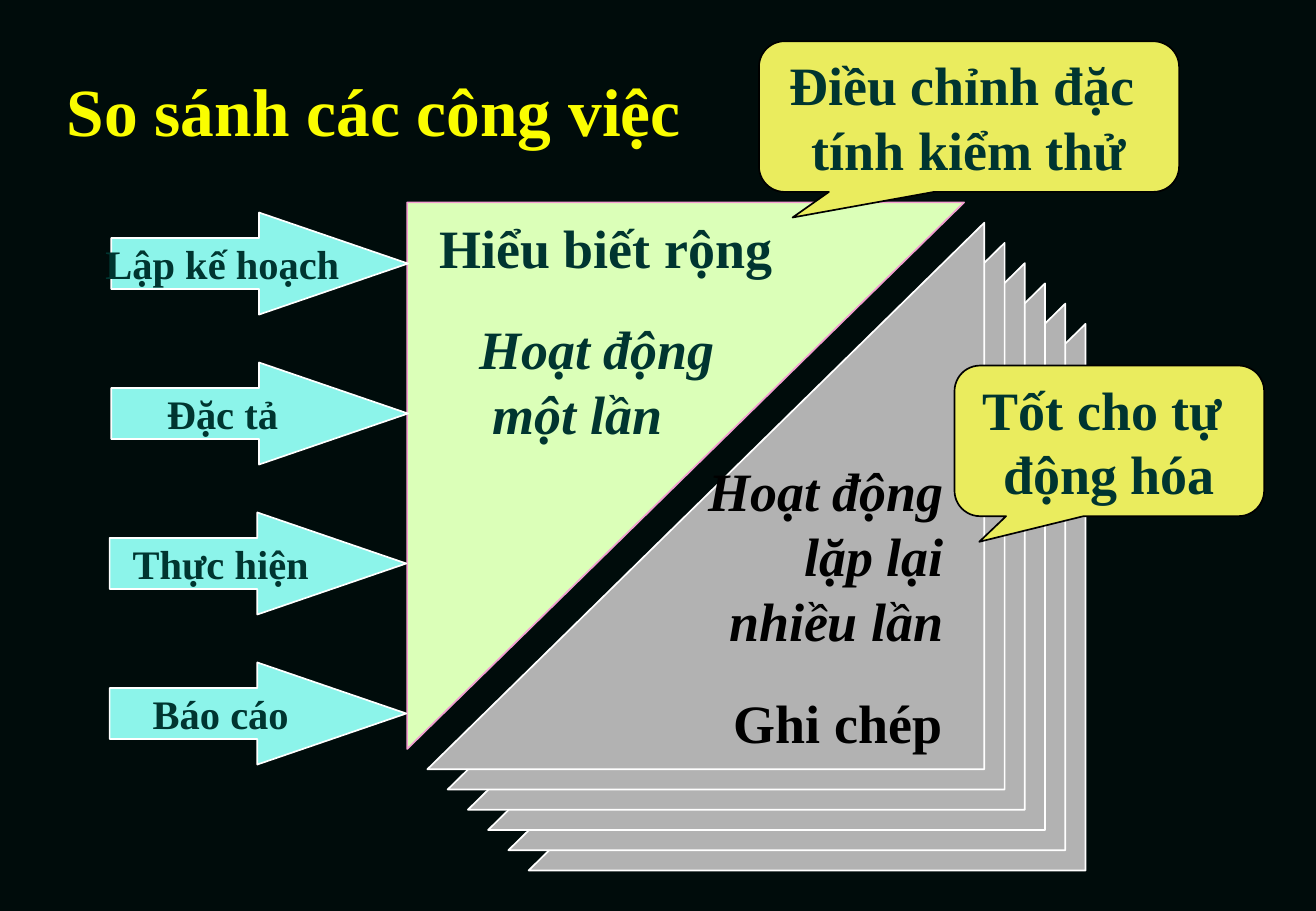
import dataclasses

import pptx
import pptx.dml.color
import pptx.enum.shapes
import pptx.enum.text
import pptx.util

Pt = pptx.util.Pt
Align = pptx.enum.text.PP_ALIGN
Anchor = pptx.enum.text.MSO_ANCHOR
Fit = pptx.enum.text.MSO_AUTO_SIZE
Preset = pptx.enum.shapes.MSO_SHAPE


@dataclasses.dataclass(frozen=True)
class Theme:
    font: str = "Times New Roman"
    background: str = "000C0B"
    title: str = "FAFD00"
    dark: str = "003530"
    black: str = "000000"
    white: str = "FFFFFF"
    gray: str = "B2B2B2"
    green: str = "DBFFB8"
    pink: str = "F39FD1"
    callout: str = "EAEC5E"
    arrow: str = "8CF4EA"
    title_size: int = 40
    text_size: int = 32
    arrow_size: int = 24


THEME = Theme()
TRIANGLE_LEFT, TRIANGLE_TOP = 241.4, 120
TRIANGLE_WIDTH, TRIANGLE_HEIGHT = 330.2, 324
SHEET_STEP = 12
SHEET_COUNT = 6
GRAY_CORNERS = ((1, 0), (1, 1), (0, 1))
GREEN_CORNERS = ((0, 1), (0, 0), (1, 0))
ARROW_TOP, ARROW_STEP = 126, 88.9
ARROWS = (
    ("Lập kế hoạch", 66),
    ("Đặc tả", 66),
    ("Thực hiện", 65),
    ("Báo cáo", 65),
)
CALLOUTS = (
    (("Điều chỉnh đặc ", "tính kiểm thử"), (450, 24.5, 249.1, 89.3)),
    (("Tốt cho tự ", "động hóa"), (565.9, 216.7, 183.6, 89.3)),
)


def color(value):
    return pptx.dml.color.RGBColor.from_string(value)


def apply(target, values):
    for name, value in values.items():
        setattr(target, name, value)


def paint(shape, fill, line):
    shape.shadow.inherit = False
    shape.fill.solid()
    shape.fill.fore_color.rgb = color(fill)
    shape.line.color.rgb = color(line)
    shape.line.width = Pt(1)


def write(shape, lines, ink, size=THEME.text_size, align=Align.LEFT,
          italic=False, **frame_format):
    frame = shape.text_frame
    apply(frame, {
        "word_wrap": False,
        "margin_left": Pt(7.2),
        "margin_right": Pt(7.2),
        "margin_top": Pt(3.6),
        "margin_bottom": Pt(3.6),
        **frame_format,
    })
    for index, line in enumerate(lines):
        para = frame.add_paragraph() if index else frame.paragraphs[0]
        para.alignment = align
        span = para.add_run()
        span.text = line
        apply(span.font, {
            "name": THEME.font,
            "size": Pt(size),
            "bold": True,
            "italic": italic,
        })
        span.font.color.rgb = color(ink)


def add_text(page, lines, bounds, ink, **options):
    box = page.shapes.add_textbox(*map(Pt, bounds))
    write(box, lines, ink, **options)
    return box


def add_label(page, lines, bounds, ink, **options):
    return add_text(page, lines, bounds, ink,
                    auto_size=Fit.SHAPE_TO_FIT_TEXT, **options)


def add_triangle(page, corners, offset, fill, line):
    points = [
        (Pt(TRIANGLE_LEFT + offset + across * TRIANGLE_WIDTH),
         Pt(TRIANGLE_TOP + offset + down * TRIANGLE_HEIGHT))
        for across, down in corners
    ]
    builder = page.shapes.build_freeform(*points[0])
    builder.add_line_segments(points[1:], close=True)
    paint(builder.convert_to_shape(), fill, line)


def add_preset(page, preset, adjustments, lines, bounds, fill, line, size):
    shape = page.shapes.add_shape(preset, *map(Pt, bounds))
    for index, value in enumerate(adjustments):
        shape.adjustments[index] = value
    paint(shape, fill, line)
    write(shape, lines, THEME.dark, size=size, align=Align.CENTER,
          vertical_anchor=Anchor.MIDDLE)


def add_callout(page, lines, bounds):
    add_preset(page, Preset.ROUNDED_RECTANGULAR_CALLOUT, (-0.42, 0.67, 0.17),
               lines, bounds, THEME.callout, THEME.black, THEME.text_size)


def add_arrow(page, label, left, top):
    add_preset(page, Preset.RIGHT_ARROW, (0.5, 1.46), (label,),
               (left, top, 175.9, 60.5), THEME.arrow, THEME.white,
               THEME.arrow_size)


def main():
    deck = pptx.Presentation()
    apply(deck, {"slide_width": Pt(780.25), "slide_height": Pt(540)})
    page = deck.slides.add_slide(deck.slide_layouts[6])
    page.background.fill.solid()
    page.background.fill.fore_color.rgb = color(THEME.background)

    for sheet in range(SHEET_COUNT, 0, -1):
        add_triangle(page, GRAY_CORNERS, sheet * SHEET_STEP,
                     THEME.gray, THEME.white)
    add_triangle(page, GREEN_CORNERS, 0, THEME.green, THEME.pink)

    add_text(page, ("So sánh các công việc",), (32.4, 40.3, 740.2, 49),
             THEME.title, size=THEME.title_size, word_wrap=True,
             vertical_anchor=Anchor.MIDDLE)
    record = add_label(page, ("Ghi chép",), (427.7, 405.4, 138.2, 45.4),
                       THEME.black, align=Align.RIGHT)
    record.fill.solid()
    record.fill.fore_color.rgb = color(THEME.gray)
    add_label(page, ("Hiểu biết rộng",), (253.4, 123.8, 212.4, 45.4),
              THEME.dark)
    add_label(page, ("Hoạt động", " một lần"), (277.2, 183.6, 154.1, 84.2),
              THEME.dark, italic=True)
    add_label(page, ("Hoạt động", "lặp lại", "nhiều lần"),
              (412.6, 267.8, 154.1, 122.4), THEME.black,
              align=Align.RIGHT, italic=True)

    for lines, bounds in CALLOUTS:
        add_callout(page, lines, bounds)
    for row, (label, left) in enumerate(ARROWS):
        add_arrow(page, label, left, ARROW_TOP + row * ARROW_STEP)

    deck.save("out.pptx")


if __name__ == "__main__":
    main()
